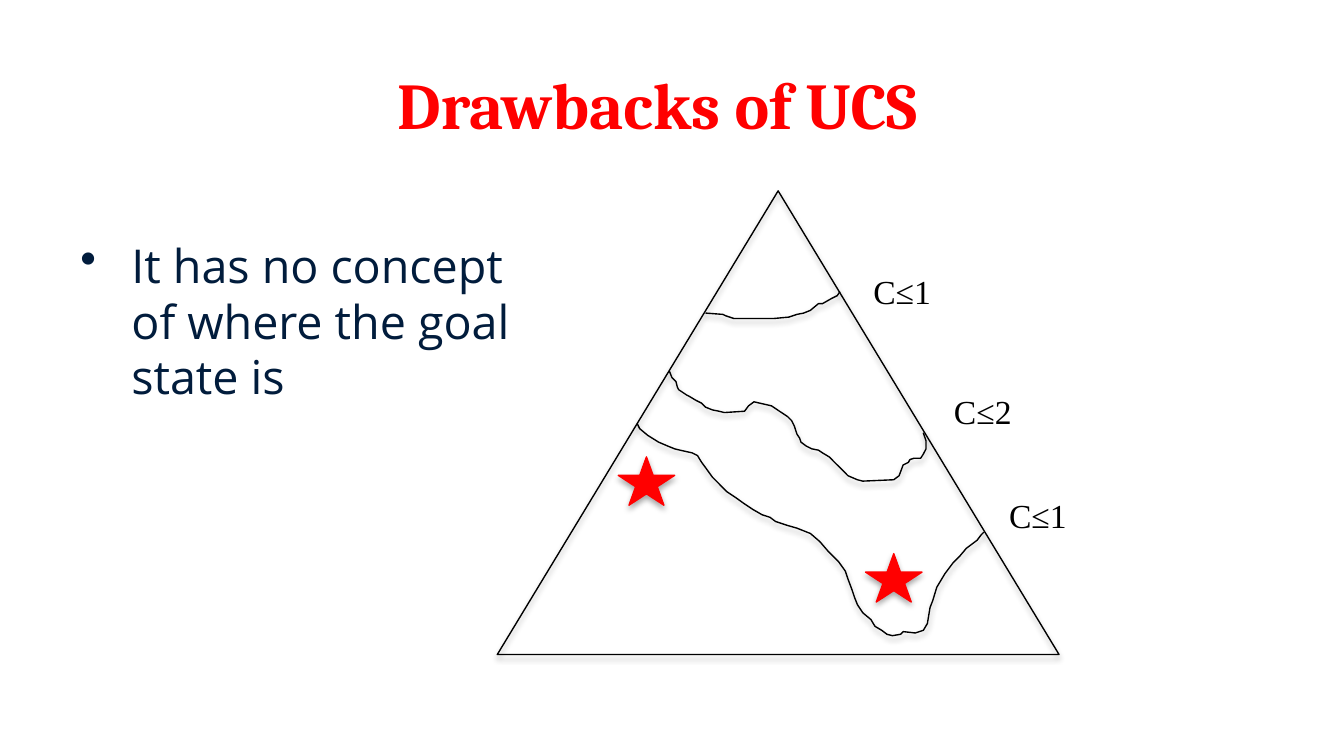
from lxml.etree import SubElement as Sub
from pptx import Presentation
from pptx.dml.color import RGBColor
from pptx.enum.shapes import MSO_SHAPE as Kind
from pptx.enum.text import PP_ALIGN as Align
from pptx.oxml.ns import qn
from pptx.util import Pt

PX = 9144
RED = RGBColor(0xFF, 0x00, 0x00)
NAVY = RGBColor(0x01, 0x1C, 0x3C)
BLACK = RGBColor(0x00, 0x00, 0x00)

CURVES = [
    [(155, 91), (168, 92), (170, 93), (176, 95), (206, 95), (217, 94),
     (223, 92), (228, 91), (233, 89), (239, 84), (242, 84), (249, 80),
     (253, 78), (255, 75)],
    [(128, 134), (130, 139), (133, 142), (134, 146), (135, 148), (141, 152),
     (143, 153), (148, 156), (152, 158), (155, 161), (160, 163), (165, 164),
     (169, 165), (184, 164), (187, 160), (191, 157), (204, 160), (210, 164),
     (216, 168), (219, 171), (221, 175), (223, 181), (225, 184), (226, 187),
     (230, 190), (234, 192), (239, 193), (242, 195), (247, 198), (251, 202),
     (257, 208), (261, 212), (268, 215), (272, 216), (295, 215), (299, 212),
     (302, 204), (306, 202), (307, 200), (310, 199), (315, 199), (317, 196),
     (319, 192), (319, 186), (317, 180)],
    [(104, 173), (106, 177), (112, 182), (120, 187), (127, 190), (132, 192),
     (136, 193), (145, 195), (149, 197), (152, 202), (155, 206), (160, 213),
     (166, 219), (171, 224), (177, 228), (184, 233), (190, 237), (197, 241),
     (203, 243), (207, 246), (216, 249), (223, 251), (233, 255), (240, 261),
     (246, 268), (250, 272), (254, 276), (259, 283), (261, 289), (264, 297),
     (266, 303), (268, 308), (272, 314), (278, 319), (281, 324), (286, 327),
     (290, 330), (294, 331), (300, 330), (302, 328), (311, 329), (317, 327),
     (320, 322), (322, 310), (324, 305), (327, 295), (333, 285), (339, 277),
     (344, 272), (349, 266), (357, 260), (360, 256), (362, 254)],
]
STARS = [(90, 198), (274, 270)]
LABELS = [("C≤1", 270, 55), ("C≤2", 330, 144), ("C≤1", 371, 221)]


def scale(*box):
    return [n * PX for n in box]


def style(shape, line, fill=None):
    if fill is None:
        shape.fill.background()
    else:
        shape.fill.solid()
        shape.fill.fore_color.rgb = fill
    shape.line.color.rgb = line
    shape.line.width = Pt(0.75)
    shape.shadow.inherit = False
    effects = shape._element.spPr.find(qn("a:effectLst"))
    shade = Sub(effects, qn("a:outerShdw"), blurRad="40000", dist="23000",
                dir="5400000", rotWithShape="0")
    color = Sub(shade, qn("a:srgbClr"), val="000000")
    Sub(color, qn("a:alpha"), val="35000")


def add_text(slide, box, text, font, size, color, wrap=True):
    frame = slide.shapes.add_textbox(*scale(*box)).text_frame
    frame.word_wrap = wrap
    para = frame.paragraphs[0]
    para.text = text
    para.font.name = font
    para.font.size = Pt(size)
    para.font.color.rgb = color
    return para


def add_title(slide, box):
    para = add_text(slide, box, "Drawbacks of UCS", "Cambria", 35, RED)
    para.alignment = Align.CENTER
    para.font.bold = True


def add_point(slide, box):
    text = "It has no concept\vof where the goal\vstate is"
    para = add_text(slide, box, text, "Open Sans", 25, NAVY)
    props = para._p.get_or_add_pPr()
    props.set("marL", str(38 * PX))
    props.set("indent", str(-38 * PX))
    bullet = Sub(props, qn("a:buChar"), char="•")
    props.find(qn("a:defRPr")).addprevious(bullet)


def add_tree(slide, box):
    left, top, wide, high = box
    shapes = slide.shapes
    style(shapes.add_shape(Kind.ISOSCELES_TRIANGLE, *scale(*box)), BLACK)
    for curve in CURVES:
        dots = [(left + x, top + y) for x, y in curve]
        path = shapes.build_freeform(*dots[0], scale=PX)
        path.add_line_segments(dots[1:], close=False)
        style(path.convert_to_shape(), BLACK)
    for x, y in STARS:
        place = scale(left + x, top + y, 42, 36)
        style(shapes.add_shape(Kind.STAR_5_POINT, *place), RED, RED)
    for text, x, y in LABELS:
        add_text(slide, (left + x, top + y, 63, 40), text,
                 "Times New Roman", 18, BLACK, wrap=False)


def main():
    deck = Presentation()
    deck.slide_width = 1000 * PX
    deck.slide_height = deck.slide_width * 9 // 16
    slide = deck.slides.add_slide(deck.slide_layouts[6])
    add_title(slide, (28, 43, 922, 77))
    add_point(slide, (50, 171, 900, 296))
    add_tree(slide, (370, 142, 418, 345))
    deck.save("out.pptx")


if __name__ == "__main__":
    main()
